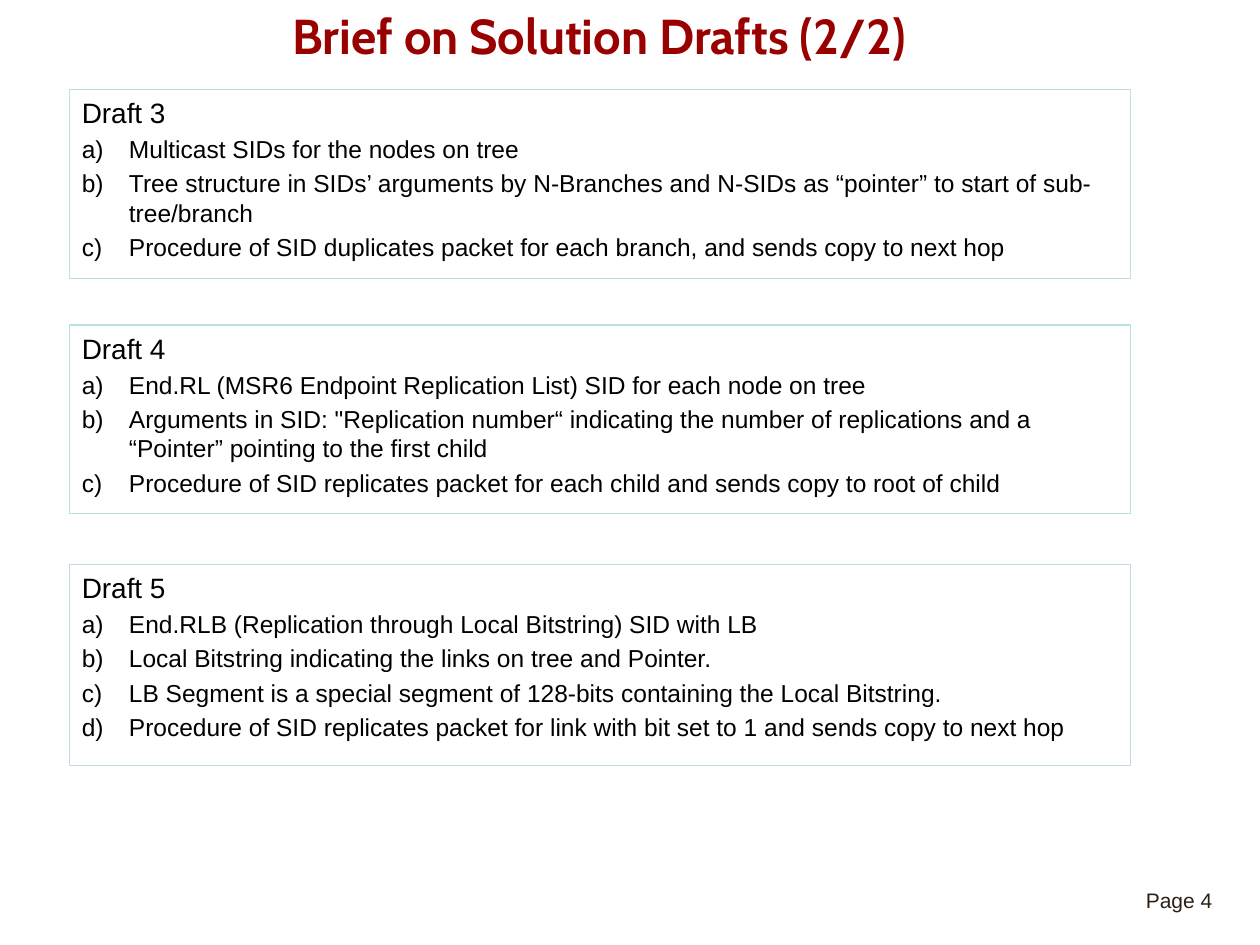
from lxml.etree import SubElement
from pptx import Presentation
from pptx.dml.color import RGBColor
from pptx.enum.shapes import MSO_SHAPE
from pptx.enum.text import MSO_ANCHOR, PP_ALIGN
from pptx.oxml.ns import qn
from pptx.util import Cm, Pt

BLACK = "000000"
BORDER = "BBE0E3"
TITLE_RED = "990000"
PAGE_BROWN = "2D2015"

DRAFTS = [
    (1.8, 3.81, "Draft 3", [
        "Multicast SIDs for the nodes on tree",
        "Tree structure in SIDs’ arguments by N-Branches and N-SIDs as “pointer” to start of sub-tree/branch",
        "Procedure of SID duplicates packet for each branch, and sends copy to next hop",
    ]),
    (6.55, 3.81, "Draft 4", [
        "End.RL (MSR6 Endpoint Replication List) SID for each node on tree",
        "Arguments in SID: \"Replication number“ indicating the number of replications and a “Pointer” pointing to the first child",
        "Procedure of SID replicates packet for each child and sends copy to root of child",
    ]),
    (11.38, 4.06, "Draft 5", [
        "End.RLB (Replication through Local Bitstring) SID with LB",
        "Local Bitstring indicating the links on tree and Pointer.",
        "LB Segment is a special segment of 128-bits containing the Local Bitstring.",
        "Procedure of SID replicates packet for link with bit set to 1 and sends copy to next hop",
    ]),
]


def color(value):
    return RGBColor.from_string(value)


def add_run(paragraph, text, size, font="Arial", fill=BLACK, bold=False):
    run = paragraph.add_run()
    run.text = text
    run.font.name = font
    run.font.size = Pt(size)
    run.font.bold = bold
    run.font.color.rgb = color(fill)


def add_text_box(slide, left, top, width, height):
    frame = slide.shapes.add_textbox(Cm(left), Cm(top), Cm(width), Cm(height)).text_frame
    frame.word_wrap = True
    return frame


def add_title(slide, text):
    frame = add_text_box(slide, 5.56, 0.2, 13.03, 1)
    frame.vertical_anchor = MSO_ANCHOR.MIDDLE
    paragraph = frame.paragraphs[0]
    paragraph.alignment = PP_ALIGN.CENTER
    add_run(paragraph, text, 28, "Cabin", TITLE_RED, True)


def add_page_number(slide, text):
    frame = add_text_box(slide, 23.1, 17.98, 1.72, 1.27)
    frame.margin_left = frame.margin_right = 0
    frame.margin_top = frame.margin_bottom = 0
    paragraph = frame.paragraphs[0]
    paragraph.line_spacing = 0.85
    add_run(paragraph, text, 12, fill=PAGE_BROWN)


def add_lettered_item(frame, text):
    paragraph = frame.add_paragraph()
    paragraph.alignment = PP_ALIGN.LEFT
    paragraph.space_before = Pt(2.8)
    properties = paragraph._p.get_or_add_pPr()
    properties.set("marL", str(Cm(0.95)))
    properties.set("indent", str(-Cm(0.95)))
    SubElement(properties, qn("a:buFont"), typeface="Arial")
    SubElement(properties, qn("a:buAutoNum"), type="alphaLcParenR")
    add_run(paragraph, text, 14)


def add_draft(slide, top, height, heading, items):
    shape = slide.shapes.add_shape(
        MSO_SHAPE.RECTANGLE, Cm(1.4), Cm(top), Cm(21.39), Cm(height))
    shape.shadow.inherit = False
    shape.fill.background()
    shape.line.color.rgb = color(BORDER)
    shape.line.width = Pt(0.75)
    frame = shape.text_frame
    frame.word_wrap = True
    frame.vertical_anchor = MSO_ANCHOR.TOP
    paragraph = frame.paragraphs[0]
    paragraph.alignment = PP_ALIGN.LEFT
    paragraph.space_before = Pt(3.2)
    add_run(paragraph, heading, 16)
    for item in items:
        add_lettered_item(frame, item)


def main():
    presentation = Presentation()
    presentation.slide_width = Cm(25.4)
    presentation.slide_height = Cm(19.05)
    slide = presentation.slides.add_slide(presentation.slide_layouts[6])
    add_title(slide, "Brief on Solution Drafts (2/2)")
    for draft in DRAFTS:
        add_draft(slide, *draft)
    add_page_number(slide, "Page 4")
    presentation.save("out.pptx")


if __name__ == "__main__":
    main()
